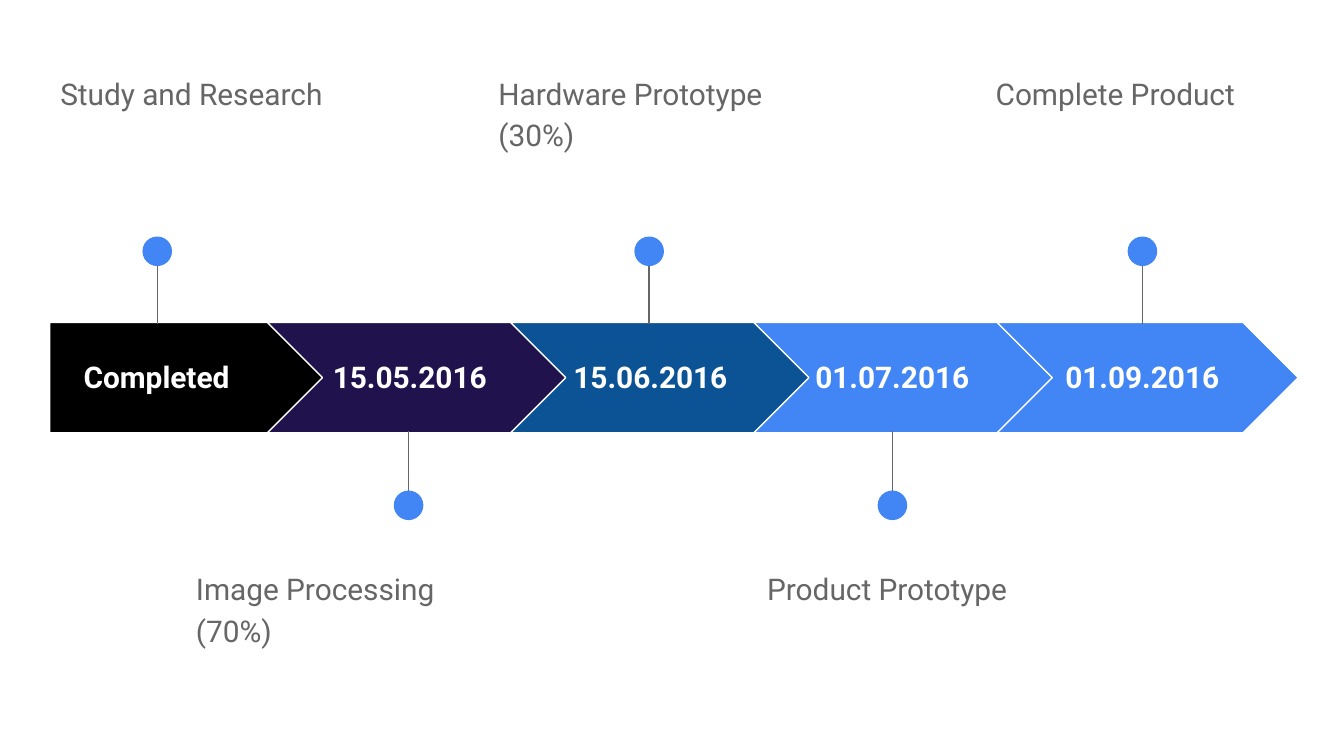
from dataclasses import dataclass

from lxml.etree import SubElement
from pptx import Presentation
from pptx.dml.color import RGBColor
from pptx.enum.shapes import MSO_CONNECTOR as Link, MSO_SHAPE as Kind
from pptx.enum.text import MSO_ANCHOR as Anchor, PP_ALIGN as Align
from pptx.oxml.ns import qn
from pptx.util import Inches, Pt


@dataclass(frozen=True)
class Theme:
    font: str = "Roboto"
    size: int = 16
    rule: float = 0.75
    white: str = "FFFFFF"
    grey: str = "666666"
    blue: str = "4285F4"
    black: str = "000000"
    violet: str = "20124D"
    navy: str = "0B5394"


THEME = Theme()

# Slide in 16:9
PAGE = 10

# Arrow band
TOP, HIGH = 2.4, 0.82
FIRST, STEP, WIDE = 1.99, 1.81, 2.24
DOT = 0.22

# date, date left, date width, fill, pin centre, label, label left
STAGES = [
    ("Completed", 0.37, 1.59, THEME.black, 1.17, "Study and Research", 0.35),
    ("15.05.2016", 2.33, 1.44, THEME.violet, 3.04, "Image Processing (70%)", 1.36),
    ("15.06.2016", 4.12, 1.44, THEME.navy, 4.83, "Hardware Prototype (30%)", 3.61),
    ("01.07.2016", 5.92, 1.44, THEME.blue, 6.64, "Product Prototype", 5.61),
    ("01.09.2016", 7.78, 1.44, THEME.blue, 8.5, "Complete Product", 7.31),
]


def color(code):
    return RGBColor.from_string(code)


def add_shape(slide, kind, box, fill, edge=None):
    shape = slide.shapes.add_shape(kind, *map(Inches, box))
    shape.shadow.inherit = False
    shape.fill.solid()
    shape.fill.fore_color.rgb = color(fill)
    if edge:
        shape.line.color.rgb = color(edge)
        shape.line.width = Pt(THEME.rule)
    else:
        shape.line.fill.background()


def add_text(slide, text, box, tone, bold=False):
    """Add a wrapped text box and return its frame for further layout."""
    frame = slide.shapes.add_textbox(*map(Inches, box)).text_frame
    frame.word_wrap = True
    frame.margin_left = frame.margin_right = Inches(0.1)
    frame.margin_top = frame.margin_bottom = Inches(0.1)
    frame.text = text
    font = frame.paragraphs[0].runs[0].font
    font.name, font.size, font.bold = THEME.font, Pt(THEME.size), bold
    font.color.rgb = color(tone)
    return frame


def add_arrow(slide, index, fill):
    if index == 0:
        kind, left, width = Kind.PENTAGON, 0.37, 2.05
    else:
        kind, left, width = Kind.CHEVRON, FIRST + (index - 1) * STEP, WIDE
    add_shape(slide, kind, (left, TOP, width, HIGH), fill, THEME.white)


def add_date(slide, text, left, width):
    box = (left, 2.55, width, 0.51)
    frame = add_text(slide, text, box, THEME.white, bold=True)
    frame.vertical_anchor = Anchor.MIDDLE
    frame.paragraphs[0].alignment = Align.CENTER


def add_pin(slide, x, above):
    """Join the band to a dot above or below it."""
    start, end, top = (1.8, 2.41, 1.76) if above else (3.82, 3.21, 3.65)
    ends = map(Inches, (x, start, x, end))
    stem = slide.shapes.add_connector(Link.STRAIGHT, *ends)
    stem.line.color.rgb = color(THEME.grey)
    stem.line.width = Pt(THEME.rule)
    SubElement(stem.element.spPr, qn("a:effectLst"))
    add_shape(slide, Kind.OVAL, (x - DOT / 2, top, DOT, DOT), THEME.blue)


def add_label(slide, text, left, above):
    box = (left, 0.42 if above else 4.11, 2.45, 0.99)
    para = add_text(slide, text, box, THEME.grey).paragraphs[0]
    para.line_spacing = 1.15
    para.space_after = Pt(16)


def main():
    deck = Presentation()
    deck.slide_width, deck.slide_height = Inches(PAGE), Inches(PAGE * 9 / 16)
    slide = deck.slides.add_slide(deck.slide_layouts[6])
    for index, stage in enumerate(STAGES):
        date, left, width, fill, pin, label, edge = stage
        above = index % 2 == 0
        add_arrow(slide, index, fill)
        add_date(slide, date, left, width)
        add_pin(slide, pin, above)
        add_label(slide, label, edge, above)
    deck.save("out.pptx")


if __name__ == "__main__":
    main()
